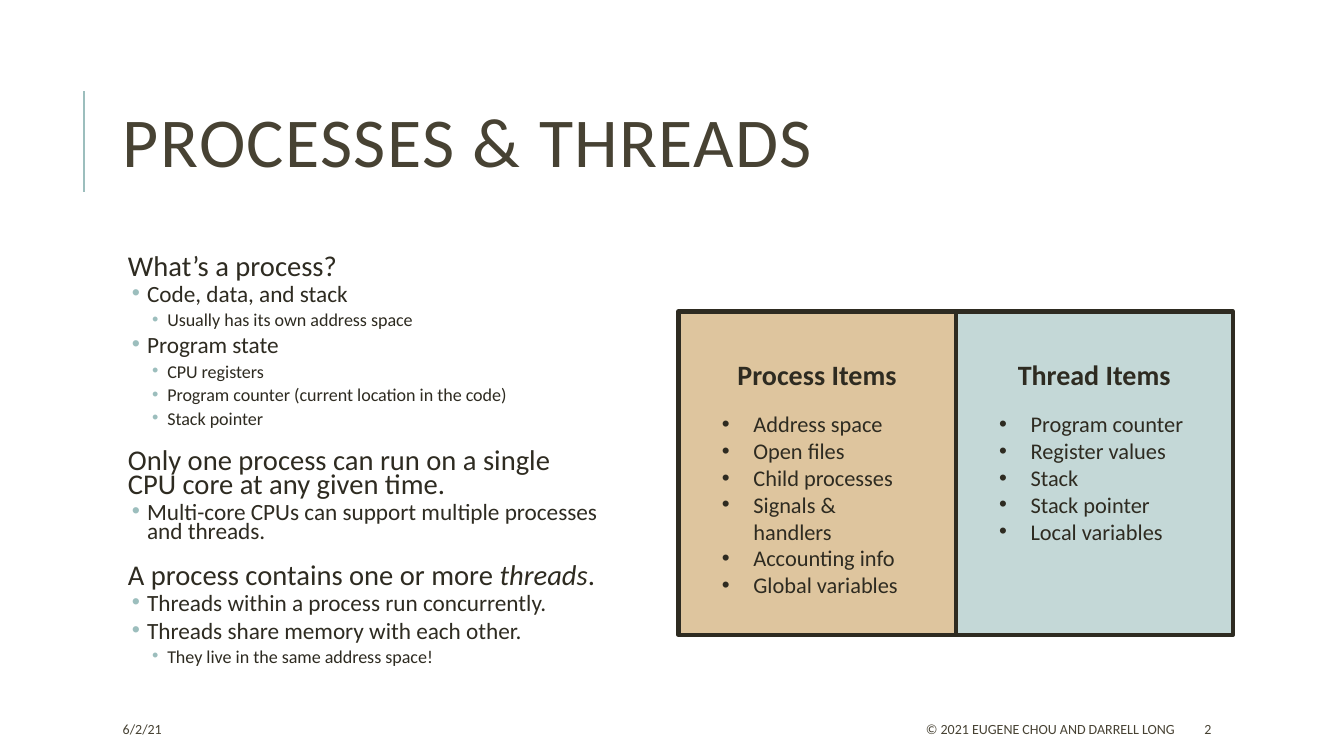
from lxml import etree
from pptx import Presentation
from pptx.dml.color import RGBColor
from pptx.enum import shapes, text
from pptx.oxml.ns import qn
from pptx.util import Pt

FONT = "Calibri"
COLORS = {"ink": "2E2B21", "heading": "474233", "accent": "9CBEBD",
          "sand": "DEC59E", "mist": "C4D8D7"}

TITLE = "PROCESSES & THREADS"
# (level, [(words, italic), ...])
OUTLINE = [
    (0, [("What’s a process?", False)]),
    (1, [("Code, data, and stack", False)]),
    (2, [("Usually has its own address space", False)]),
    (1, [("Program state", False)]),
    (2, [("CPU registers", False)]),
    (2, [("Program counter (current location in the code)", False)]),
    (2, [("Stack pointer", False)]),
    (0, [("Only one process can run on a single CPU core at any given time.", False)]),
    (1, [("Multi-core CPUs can support multiple processes and threads.", False)]),
    (0, [("A process contains one or more ", False), ("threads", True), (".", False)]),
    (1, [("Threads within a process run concurrently.", False)]),
    (1, [("Threads share memory with each other.", False)]),
    (2, [("They live in the same address space!", False)]),
]
# size, left margin, first-line indent, space before, space after
LEVELS = [(20.4, 7.2, 0, 12, 2), (16.6, 20.9, -10.8, 2, 4), (12.9, 35.3, -10.8, 2, 4)]
PANELS = [
    ("Process Items", "sand", ["Address space", "Open files", "Child processes",
                               "Signals & handlers", "Accounting info", "Global variables"]),
    ("Thread Items", "mist", ["Program counter", "Register values", "Stack",
                              "Stack pointer", "Local variables"]),
]
# words, left, width, alignment
FOOTERS = [
    ("6/2/21", 80.6, 170, text.PP_ALIGN.LEFT),
    ("© 2021 EUGENE CHOU AND DARRELL LONG", 381.6, 464.4, text.PP_ALIGN.RIGHT),
    ("2", 853.2, 76.3, text.PP_ALIGN.LEFT),
]
PANEL_LEFT, PANEL_TOP, PANEL_WIDTH, PANEL_HEIGHT = 484.6, 222.5, 198, 231.1
LIST_INSET, LIST_DROP, LINE_HEIGHT = 24, 67, 19.5
FOOTER_TOP, FOOTER_HEIGHT = 509.8, 21.6


def rgb(name):
    return RGBColor.from_string(COLORS[name])


def place(shape, left, top, width, height):
    shape.left, shape.top = Pt(left), Pt(top)
    shape.width, shape.height = Pt(width), Pt(height)


def add_span(para, words, size, color="ink", bold=False, italic=False):
    span = para.add_run()
    span.text = words
    font = span.font
    font.name, font.size, font.bold, font.italic = FONT, Pt(size), bold, italic
    font.color.rgb = rgb(color)
    return span


def set_bullet(para, margin, indent, color=None):
    """Hang the paragraph on a dot; without an indent it has no dot."""
    props = para._p.get_or_add_pPr()
    props.set("marL", str(Pt(margin)))
    props.set("indent", str(Pt(indent)))
    if not indent:
        etree.SubElement(props, qn("a:buNone"))
        return
    if color:
        tint = etree.SubElement(props, qn("a:buClr"))
        etree.SubElement(tint, qn("a:srgbClr")).set("val", COLORS[color])
    etree.SubElement(props, qn("a:buFont")).set("typeface", "Arial")
    etree.SubElement(props, qn("a:buChar")).set("char", "•")


def paragraphs(frame, items):
    """Yield a paragraph with each item, starting with the one already there."""
    for index, item in enumerate(items):
        yield (frame.add_paragraph() if index else frame.paragraphs[0]), item


def add_box(page, left, top, width, height):
    box = page.shapes.add_textbox(Pt(left), Pt(top), Pt(width), Pt(height))
    box.text_frame.word_wrap = True
    return box.text_frame


def add_title(page):
    rule = page.shapes.add_connector(shapes.MSO_CONNECTOR.STRAIGHT,
                                     Pt(60), Pt(137), Pt(60), Pt(65))
    rule.line.color.rgb = rgb("accent")
    rule.line.width = Pt(1.5)
    etree.SubElement(rule._element.spPr, qn("a:effectLst"))
    title = page.shapes.title
    place(title, 80.6, 46, 765.4, 118)
    frame = title.text_frame
    frame.auto_size = text.MSO_AUTO_SIZE.NONE
    frame.vertical_anchor = text.MSO_ANCHOR.MIDDLE
    para = frame.paragraphs[0]
    para.alignment, para.line_spacing = text.PP_ALIGN.LEFT, 0.8
    span = add_span(para, TITLE, 50, "heading")
    span._r.get_or_add_rPr().set("spc", "100")


def add_outline(page):
    body = page.placeholders[1]
    place(body, 80.6, 180, 355, 316.8)
    frame = body.text_frame
    frame.auto_size = text.MSO_AUTO_SIZE.NONE
    frame.margin_left = frame.margin_right = Pt(3.6)
    frame.margin_top = frame.margin_bottom = Pt(3.6)
    for index, (para, (level, spans)) in enumerate(paragraphs(frame, OUTLINE)):
        size, margin, indent, before, after = LEVELS[level]
        para.level = level
        set_bullet(para, margin, indent, "accent")
        para.line_spacing = 0.7
        para.space_before = Pt(before if index else 0)
        para.space_after = Pt(after)
        for words, italic in spans:
            add_span(para, words, size, italic=italic)


def add_panel(page, left, heading, color, items):
    panel = page.shapes.add_shape(shapes.MSO_SHAPE.RECTANGLE, Pt(left), Pt(PANEL_TOP),
                                  Pt(PANEL_WIDTH), Pt(PANEL_HEIGHT))
    panel.shadow.inherit = False
    panel.fill.solid()
    panel.fill.fore_color.rgb = rgb(color)
    panel.line.color.rgb = rgb("ink")
    panel.line.width = Pt(3)
    etree.SubElement(panel._element.spPr.find(qn("a:ln")), qn("a:round"))
    frame = panel.text_frame
    frame.vertical_anchor = text.MSO_ANCHOR.TOP
    frame.margin_top = Pt(33)
    para = frame.paragraphs[0]
    para.alignment = text.PP_ALIGN.CENTER
    add_span(para, heading, 20, bold=True)

    frame = add_box(page, left + LIST_INSET, PANEL_TOP + LIST_DROP,
                    PANEL_WIDTH - 2 * LIST_INSET, LINE_HEIGHT * len(items) + 7.2)
    for para, item in paragraphs(frame, items):
        set_bullet(para, 22.5, -22.5)
        add_span(para, item, 16)


def main():
    deck = Presentation()
    deck.slide_width, deck.slide_height = Pt(960), Pt(540)
    page = deck.slides.add_slide(deck.slide_layouts[1])
    add_title(page)
    add_outline(page)
    for index, panel in enumerate(PANELS):
        add_panel(page, PANEL_LEFT + index * PANEL_WIDTH, *panel)
    for words, left, width, alignment in FOOTERS:
        frame = add_box(page, left, FOOTER_TOP, width, FOOTER_HEIGHT)
        frame.vertical_anchor = text.MSO_ANCHOR.MIDDLE
        frame.paragraphs[0].alignment = alignment
        add_span(frame.paragraphs[0], words, 10, "heading")
    deck.save("out.pptx")


if __name__ == "__main__":
    main()
